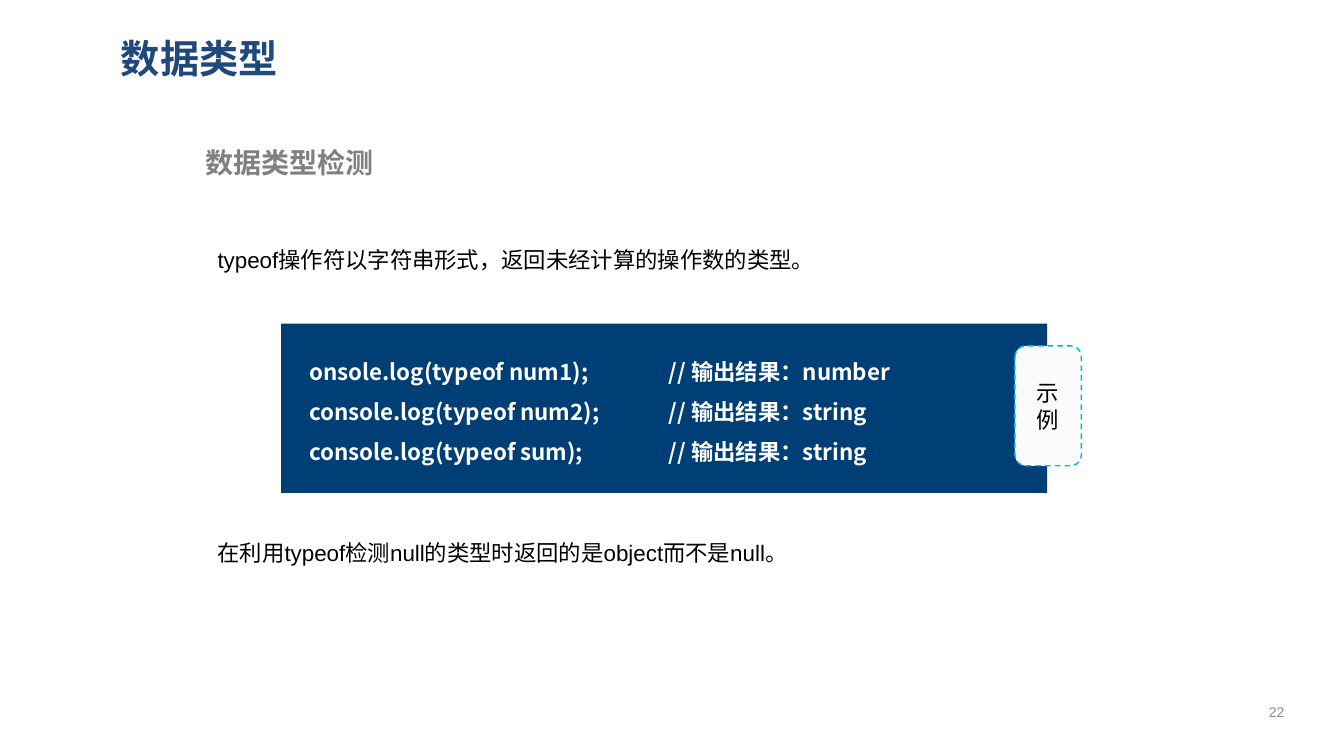
from dataclasses import dataclass
from typing import Any

from lxml.etree import SubElement
from pptx import Presentation
from pptx.dml.color import RGBColor
from pptx.enum.dml import MSO_LINE
from pptx.enum.shapes import MSO_SHAPE
from pptx.enum.text import MSO_ANCHOR, MSO_AUTO_SIZE, PP_ALIGN
from pptx.oxml.ns import qn
from pptx.util import Pt


@dataclass(frozen=True)
class TextStyle:
    size: float
    color: str
    font: str = "Arial"
    bold: bool = False
    spacing: float = 1.0
    align: PP_ALIGN = PP_ALIGN.LEFT
    tab: float = 0


@dataclass(frozen=True)
class Theme:
    cjk: str = "Noto Sans CJK SC"
    panel: str = "003F75"
    tag_fill: str = "FBFBFB"
    tag_line: str = "00B4E9"
    title: TextStyle = TextStyle(28, "1F497D", cjk, True)
    subtitle: TextStyle = TextStyle(20, "808080", cjk, True)
    code: TextStyle = TextStyle(16, "FFFFFF", cjk, True, 1.5, tab=256.8)
    lead: TextStyle = TextStyle(16, "000000", spacing=2.0)
    note: TextStyle = TextStyle(16, "000000", spacing=1.5)
    tag: TextStyle = TextStyle(16, "000000", align=PP_ALIGN.CENTER)
    page: TextStyle = TextStyle(10, "8C8C8C", align=PP_ALIGN.CENTER)


@dataclass(frozen=True)
class Box:
    left: float
    top: float
    width: float
    height: float

    def points(self) -> tuple[Pt, Pt, Pt, Pt]:
        return Pt(self.left), Pt(self.top), Pt(self.width), Pt(self.height)


@dataclass(frozen=True)
class TextBlock:
    box: Box
    lines: tuple[str, ...]
    style: TextStyle


THEME = Theme()

SUBTITLE = TextBlock(Box(139.7, 100.1, 663.8, 31.7), ("数据类型检测",), THEME.subtitle)
CODE = TextBlock(
    Box(213.8, 242.6, 534.2, 94.3),
    (
        "onsole.log(typeof num1);\t// 输出结果：number",
        "console.log(typeof num2);\t// 输出结果：string",
        "console.log(typeof sum);\t// 输出结果：string",
    ),
    THEME.code,
)
LEAD = TextBlock(
    Box(148.3, 153.4, 661.7, 43.9),
    ("typeof操作符以字符串形式，返回未经计算的操作数的类型。",),
    THEME.lead,
)
NOTE = TextBlock(
    Box(148.3, 372.2, 671.8, 36),
    ("在利用typeof检测null的类型时返回的是object而不是null。",),
    THEME.note,
)
PAGE = TextBlock(Box(888.5, 493.9, 46.8, 28.8), ("22",), THEME.page)


def write(frame: Any, lines: tuple[str, ...], style: TextStyle) -> None:
    frame.word_wrap = True
    for index, line in enumerate(lines):
        paragraph = frame.add_paragraph() if index else frame.paragraphs[0]
        paragraph.alignment = style.align
        paragraph.line_spacing = style.spacing
        if style.tab:
            tabs = SubElement(paragraph._p.get_or_add_pPr(), qn("a:tabLst"))
            SubElement(tabs, qn("a:tab"), pos=str(Pt(style.tab)), algn="l")
        run = paragraph.add_run()
        run.text = line
        run.font.size = Pt(style.size)
        run.font.bold = style.bold
        run.font.color.rgb = RGBColor.from_string(style.color)
        run.font.name = style.font
        SubElement(run._r.get_or_add_rPr(), qn("a:ea"), typeface=THEME.cjk)


def add_text(shapes: Any, block: TextBlock) -> Any:
    text = shapes.add_textbox(*block.box.points())
    write(text.text_frame, block.lines, block.style)
    text.text_frame.auto_size = MSO_AUTO_SIZE.SHAPE_TO_FIT_TEXT
    return text


def add_panel(shapes: Any, preset: MSO_SHAPE, box: Box, fill: str) -> Any:
    panel = shapes.add_shape(preset, *box.points())
    panel.shadow.inherit = False
    panel.fill.solid()
    panel.fill.fore_color.rgb = RGBColor.from_string(fill)
    panel.line.fill.background()
    return panel


def main() -> None:
    deck = Presentation()
    deck.slide_width, deck.slide_height = Pt(960), Pt(540)
    slide = deck.slides.add_slide(deck.slide_layouts[5])
    shapes = slide.shapes

    # Headings
    title = shapes.title
    title.left, title.top, title.width, title.height = Box(79.2, 17.3, 838.8, 48.2).points()
    write(title.text_frame, ("数据类型",), THEME.title)
    title.text_frame.vertical_anchor = MSO_ANCHOR.MIDDLE
    add_text(shapes, SUBTITLE)

    # Code example
    example = shapes.add_group_shape().shapes
    add_panel(example, MSO_SHAPE.RECTANGLE, Box(200.9, 231.1, 547.2, 121), THEME.panel)
    add_text(example, CODE)

    # Explanation
    add_text(shapes, LEAD)

    # Example tag
    tag = add_panel(shapes, MSO_SHAPE.ROUNDED_RECTANGLE, Box(725, 247, 47.5, 85.7), THEME.tag_fill)
    tag.line.color.rgb = RGBColor.from_string(THEME.tag_line)
    tag.line.width = Pt(1)
    tag.line.dash_style = MSO_LINE.DASH
    write(tag.text_frame, ("示例",), THEME.tag)
    tag.text_frame.vertical_anchor = MSO_ANCHOR.MIDDLE

    # Closing note and page number
    add_text(shapes, NOTE)
    page = add_text(shapes, PAGE)
    page.text_frame.auto_size = MSO_AUTO_SIZE.NONE
    page.text_frame.vertical_anchor = MSO_ANCHOR.MIDDLE

    deck.save("out.pptx")


if __name__ == "__main__":
    main()
